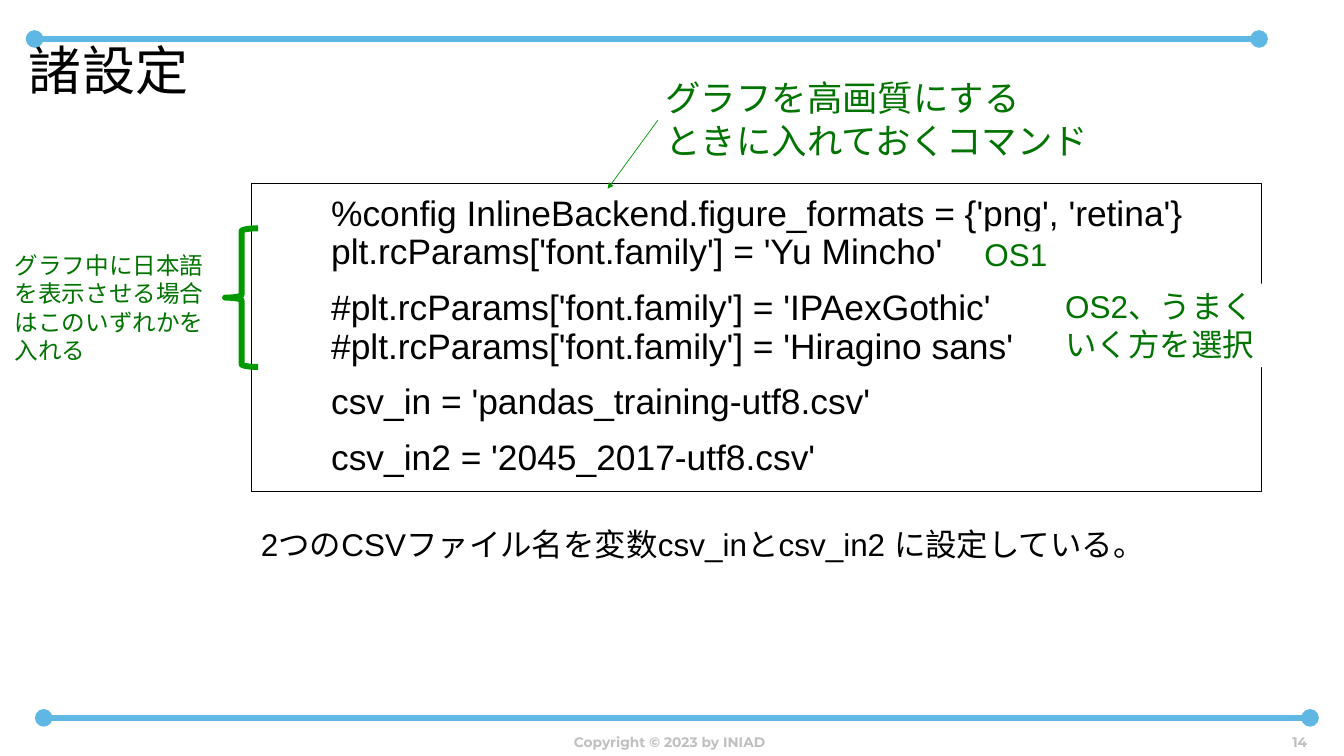
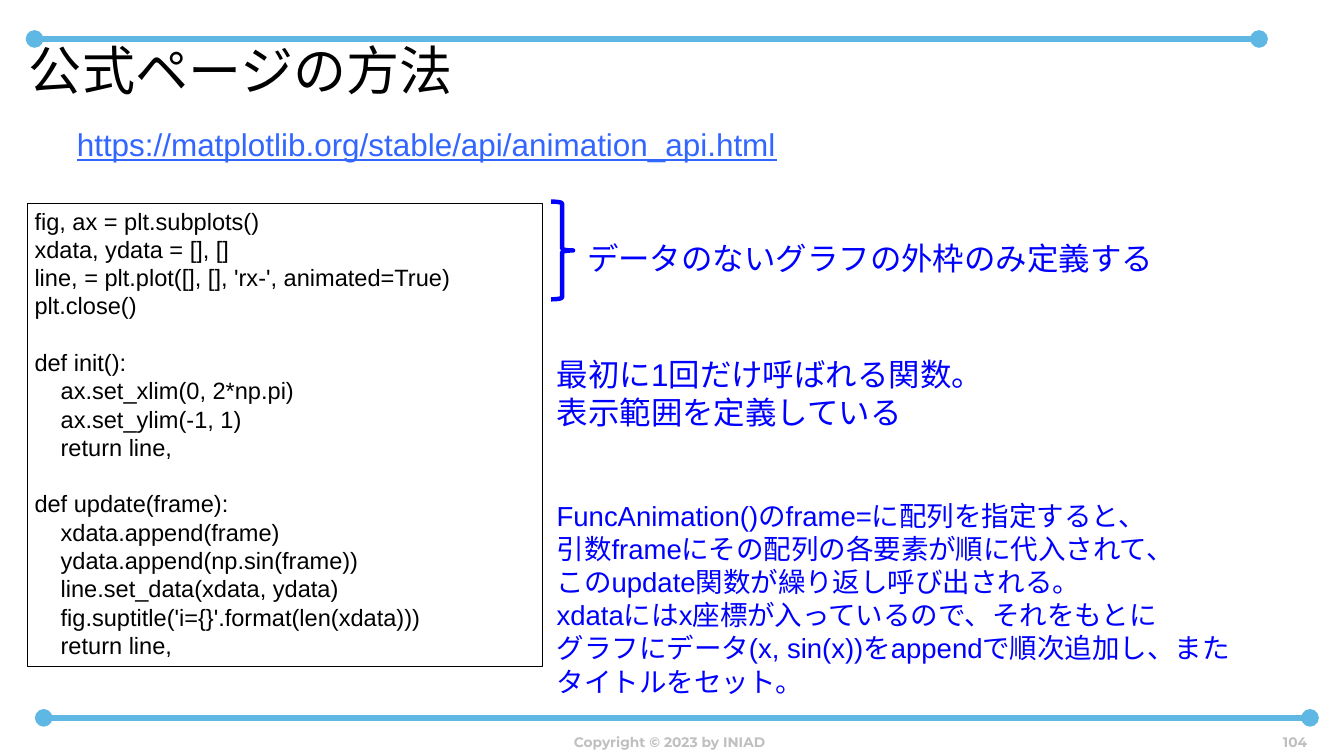
from dataclasses import dataclass

from pptx import Presentation
from pptx.dml.color import RGBColor
from pptx.enum.shapes import MSO_CONNECTOR, MSO_SHAPE
from pptx.enum.text import MSO_ANCHOR, PP_ALIGN
from pptx.oxml.ns import qn
from pptx.util import Cm, Pt
from lxml import etree

STRAIGHT = MSO_CONNECTOR.STRAIGHT
LEFT_BRACE, RIGHT_BRACE = MSO_SHAPE.LEFT_BRACE, MSO_SHAPE.RIGHT_BRACE
TOP, MIDDLE, BOTTOM = MSO_ANCHOR.TOP, MSO_ANCHOR.MIDDLE, MSO_ANCHOR.BOTTOM
LEFT, CENTER, RIGHT = PP_ALIGN.LEFT, PP_ALIGN.CENTER, PP_ALIGN.RIGHT
TITLE_ONLY = 5


@dataclass(frozen=True)
class Theme:
    title_font: str = "TeX Gyre Adventor"
    body_font: str = "Arial"
    footer_font: str = "Montserrat"
    black: str = "000000"
    white: str = "FFFFFF"
    rule: str = "5FB8E4"
    footer: str = "BFBFBF"
    green: str = "007300"
    green_line: str = "009900"
    blue: str = "0000FF"
    link: str = "3366FF"
    title_size: int = 54
    large_size: int = 36
    note_size: int = 32
    detail_size: int = 28
    small_size: int = 24
    footer_size: int = 14
    thin: float = 0.75
    medium: float = 4.5
    thick: float = 6


class Lecture:
    def __init__(self, theme):
        self.theme = theme
        self.deck = Presentation()
        self.deck.slide_width, self.deck.slide_height = Cm(48.26), Cm(27.15)
        self.slide = None

    def start_slide(self, title, number):
        theme = self.theme
        self.slide = self.deck.slides.add_slide(self.deck.slide_layouts[TITLE_ONLY])
        self.line((1.24, 1.4), (45.21, 1.4), theme.rule, theme.thick, "oval", "oval")
        self.line((1.57, 25.78), (47.04, 25.78), theme.rule, theme.thick, "oval", "oval")

        heading = self.slide.shapes.title
        heading.left, heading.top, heading.width, heading.height = map(
            Cm, (1.04, 1.35, 44.17, 3.94))
        frame = heading.text_frame
        self.set_margins(frame, 0)
        frame.vertical_anchor = TOP
        self.add_text(frame, [title], theme.title_size, theme.black,
                      font=theme.title_font)

        self.footer((1.12, 25.78, 45.85, 1.3), "Copyright © 2023 by INIAD", CENTER)
        self.footer((44.55, 25.81, 2.64, 1.27), str(number), RIGHT)

    def set_margins(self, frame, margin):
        frame.margin_left = frame.margin_right = Cm(margin)
        frame.margin_top = frame.margin_bottom = Cm(margin)

    def add_text(self, frame, texts, size, color, font=None, align=LEFT,
                 bold=False, underline=False):
        """Add one paragraph per text; a newline in a text is a line break."""
        for index, text in enumerate(texts):
            para = frame.paragraphs[0] if index == 0 else frame.add_paragraph()
            para.alignment = align
            for row, line in enumerate(text.split("\n")):
                if row:
                    para.add_line_break()
                span = para.add_run()
                span.text = line
                span.font.name = font or self.theme.body_font
                span.font.size = Pt(size)
                span.font.bold = bold
                span.font.underline = underline
                span.font.color.rgb = RGBColor.from_string(color)

    def text_box(self, place, texts, size, color, **style):
        box = self.slide.shapes.add_textbox(*map(Cm, place))
        box.text_frame.word_wrap = True
        self.add_text(box.text_frame, texts, size, color, **style)
        return box

    def footer(self, place, text, align):
        theme = self.theme
        box = self.text_box(place, [text], theme.footer_size, theme.footer,
                            font=theme.footer_font, align=align, bold=True)
        box.text_frame.vertical_anchor = BOTTOM

    def note(self, place, texts, size, color, **style):
        """Add text on a white ground that hides what lies behind it."""
        box = self.text_box(place, texts, size, color, **style)
        box.fill.solid()
        box.fill.fore_color.rgb = RGBColor.from_string(self.theme.white)

    def code(self, place, texts, size):
        box = self.text_box(place, texts, size, self.theme.black)
        self.outline(box, self.theme.black, self.theme.thin)
        return box

    def outline(self, shape, color, width):
        shape.line.color.rgb = RGBColor.from_string(color)
        shape.line.width = Pt(width)

    def brace(self, kind, place, color, width):
        shape = self.slide.shapes.add_shape(kind, *map(Cm, place))
        shape.shadow.inherit = False
        shape.fill.background()
        self.outline(shape, color, width)

    def line(self, start, end, color, width, head=None, tail=None):
        connector = self.slide.shapes.add_connector(STRAIGHT, *map(Cm, start + end))
        self.outline(connector, color, width)
        properties = connector.element.spPr
        stroke = properties.find(qn("a:ln"))
        for tag, kind in (("a:headEnd", head), ("a:tailEnd", tail)):
            if kind:
                etree.SubElement(stroke, qn(tag), type=kind)
        etree.SubElement(properties, qn("a:effectLst"))


def build_settings(lecture):
    theme = lecture.theme
    lecture.start_slide("諸設定", 14)
    settings = lecture.code((9.04, 6.58, 36.27, 11.07), [
        "%config InlineBackend.figure_formats = {'png', 'retina'}\n"
        "plt.rcParams['font.family'] = 'Yu Mincho'",
        "#plt.rcParams['font.family'] = 'IPAexGothic'\n"
        "#plt.rcParams['font.family'] = 'Hiragino sans'",
        "csv_in = 'pandas_training-utf8.csv'",
        "csv_in2 = '2045_2017-utf8.csv'",
    ], theme.large_size)
    frame = settings.text_frame
    lecture.set_margins(frame, 0)
    frame.margin_left = Cm(2.85)
    frame.vertical_anchor = MIDDLE
    for index, para in enumerate(frame.paragraphs):
        para.line_spacing = 0.9
        if index:
            para.space_before = Pt(theme.large_size / 2)

    lecture.note((23.65, 2.62, 15.9, 3.33),
                 ["グラフを高画質にする", "ときに入れておくコマンド"],
                 theme.large_size, theme.green)
    lecture.note((35.1, 8.31, 4.39, 1.63), ["OS1"], theme.note_size, theme.green)
    lecture.line((23.62, 4.32), (21.82, 6.78), theme.green_line, theme.thin,
                 tail="triangle")
    lecture.text_box((9.12, 18.72, 34.34, 1.63),
                     ["2つのCSVファイル名を変数csv_inとcsv_in2 に設定している。"],
                     theme.note_size, theme.black)
    lecture.note((0.28, 8.89, 7.72, 4.37),
                 ["グラフ中に日本語を表示させる場合はこのいずれかを入れる"],
                 theme.small_size, theme.green)
    lecture.brace(LEFT_BRACE, (8.08, 8.2, 1.19, 4.98), theme.green_line, theme.thick)
    lecture.note((38, 10.19, 8.31, 3), ["OS2、うまくいく方を選択"],
                 theme.note_size, theme.green)


def build_animation(lecture):
    theme = lecture.theme
    lecture.start_slide("公式ページの方法", 104)
    lecture.note((2.51, 4.37, 30.53, 1.63),
                 ["https://matplotlib.org/stable/api/animation_api.html"],
                 theme.note_size, theme.link, underline=True)
    listing = lecture.code((0.99, 7.29, 18.47, 16.66), [
        "fig, ax = plt.subplots()",
        "xdata, ydata = [], []",
        "line, = plt.plot([], [], 'rx-', animated=True)",
        "plt.close()",
        "def init():",
        "    ax.set_xlim(0, 2*np.pi)",
        "    ax.set_ylim(-1, 1)",
        "    return line,",
        "def update(frame):",
        "    xdata.append(frame)",
        "    ydata.append(np.sin(frame))",
        "    line.set_data(xdata, ydata)",
        "    fig.suptitle('i={}'.format(len(xdata)))",
        "    return line,",
    ], theme.small_size)
    for para in listing.text_frame.paragraphs:
        if para.text.startswith("def "):
            para.space_before = Pt(theme.small_size * 1.2)

    lecture.note((20.83, 8.46, 21.03, 1.63), ["データのないグラフの外枠のみ定義する"],
                 theme.note_size, theme.blue)
    lecture.brace(RIGHT_BRACE, (19.79, 7.24, 0.79, 3.51), theme.blue, theme.medium)
    lecture.note((19.74, 12.62, 16.03, 3),
                 ["最初に1回だけ呼ばれる関数。", "表示範囲を定義している"],
                 theme.note_size, theme.blue)
    lecture.note((19.74, 17.81, 25.96, 7.44), [
        "FuncAnimation()のframe=に配列を指定すると、",
        "引数frameにその配列の各要素が順に代入されて、",
        "このupdate関数が繰り返し呼び出される。",
        "xdataにはx座標が入っているので、それをもとに",
        "グラフにデータ(x, sin(x))をappendで順次追加し、また",
        "タイトルをセット。",
    ], theme.detail_size, theme.blue)


def main():
    lecture = Lecture(Theme())
    build_settings(lecture)
    build_animation(lecture)
    lecture.deck.save("out.pptx")


if __name__ == "__main__":
    main()
